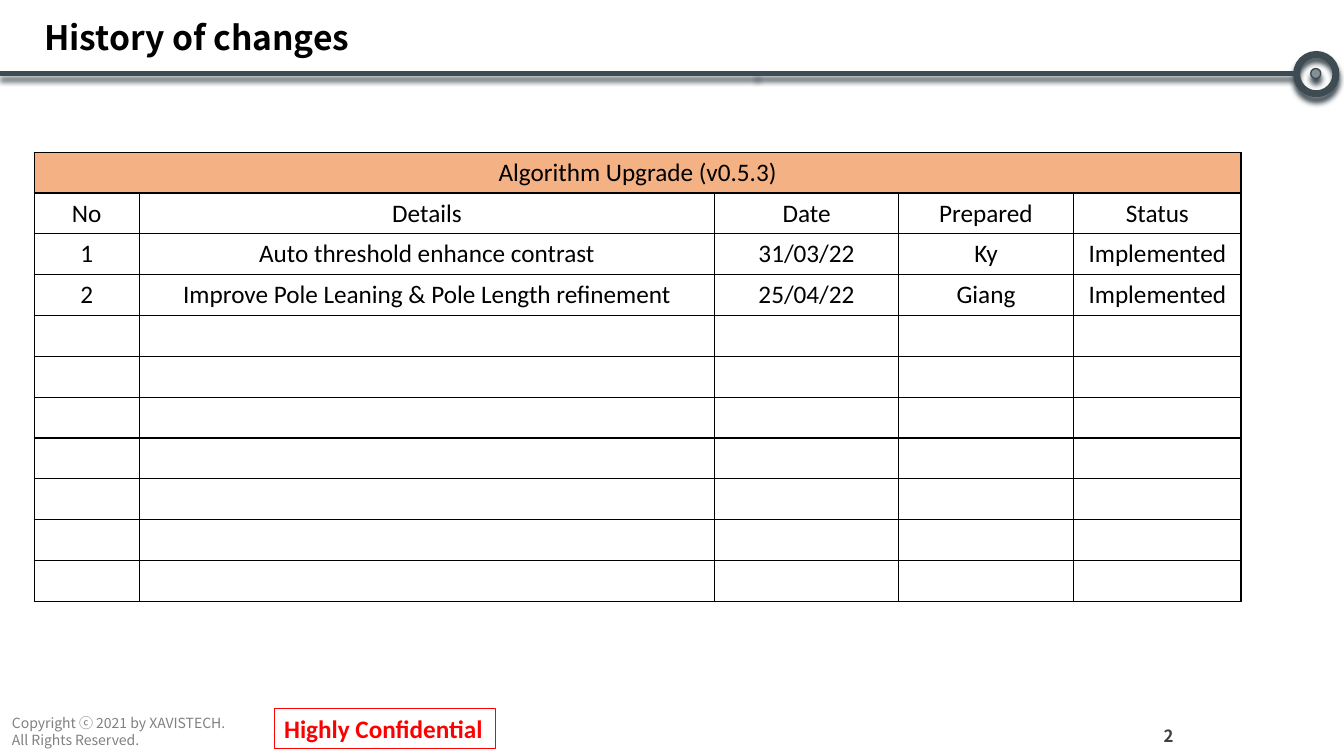
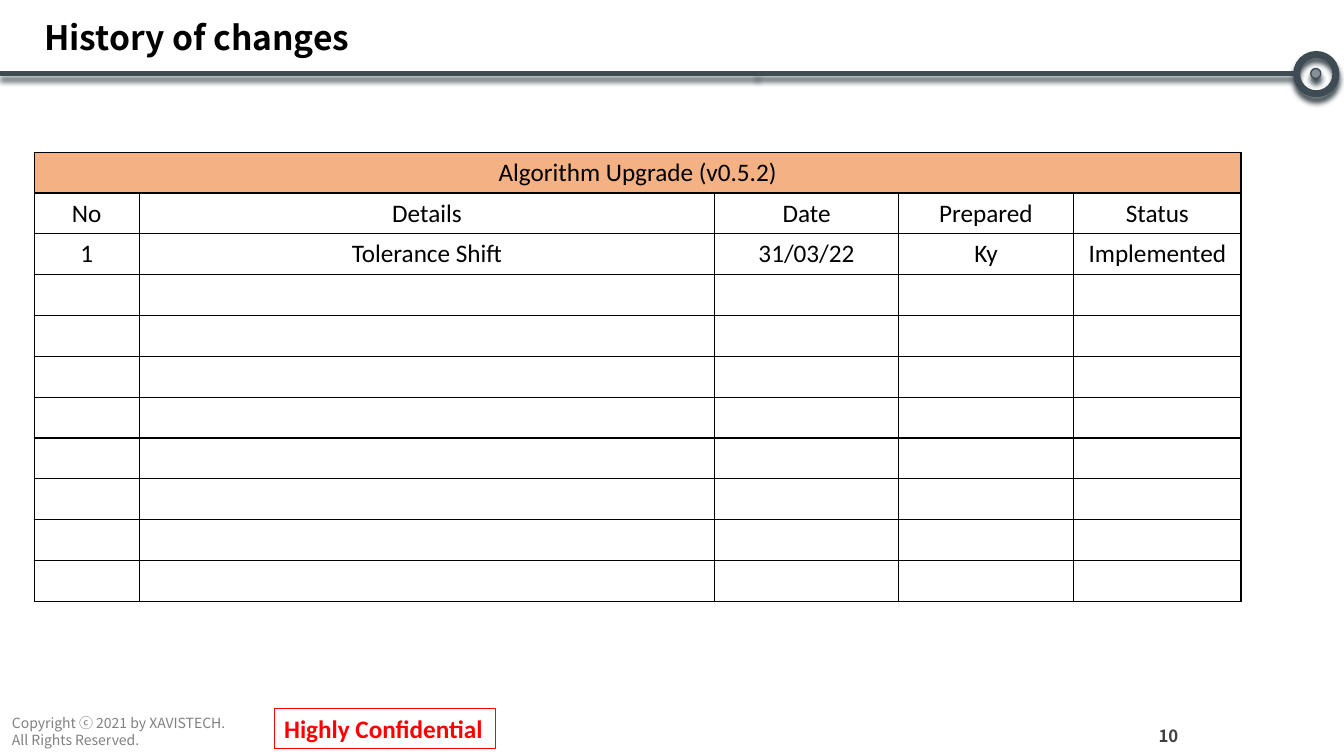
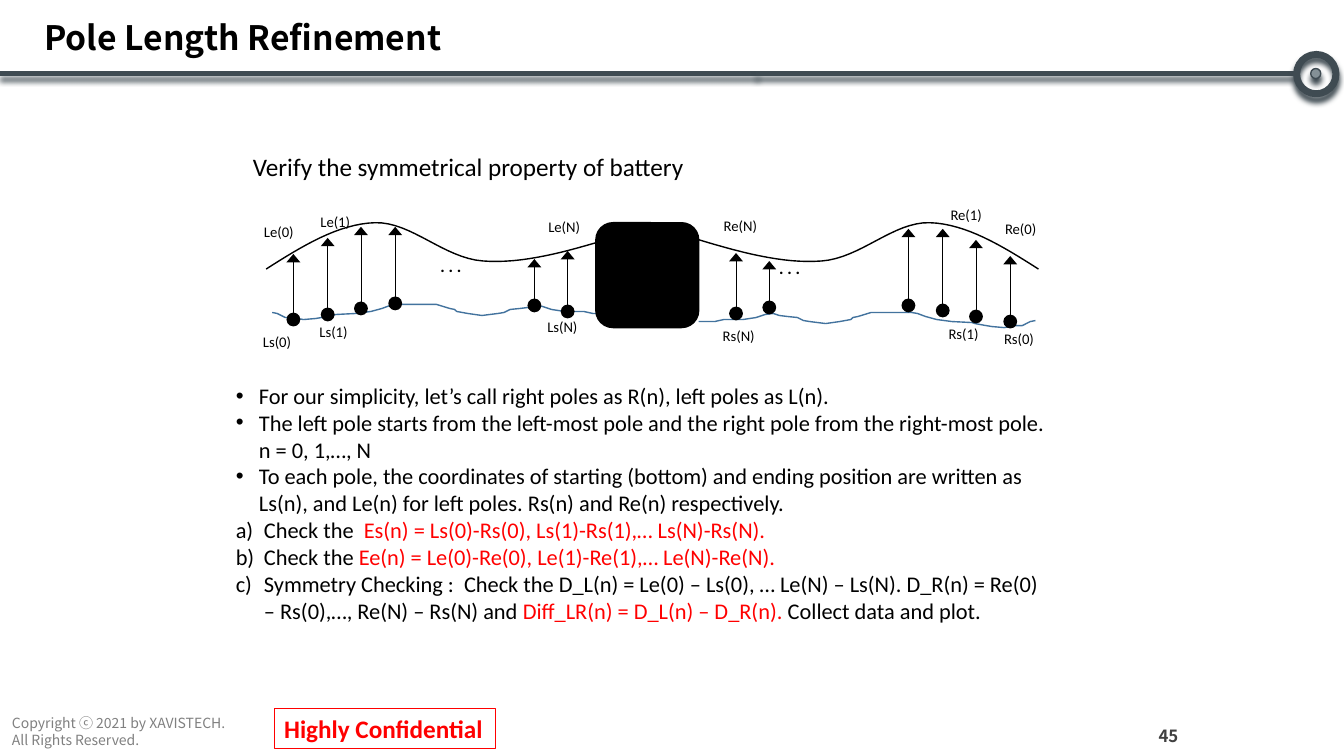
"""Build three slides on the history of changes and pole length refinement."""
from lxml.etree import SubElement
from pptx import Presentation
from pptx.dml.color import RGBColor
from pptx.enum.shapes import MSO_CONNECTOR as Link, MSO_SHAPE as Kind
from pptx.enum.text import MSO_ANCHOR as Anchor, PP_ALIGN as Align
from pptx.oxml.ns import qn
from pptx.util import Inches, Pt

BLACK, RED, STEEL, BLUE = "000000", "FF0000", "3F4B52", "43739E"
SANS, KOREAN = "Calibri", "Noto Sans CJK KR"
STYLES = {
    "title": ({"name": KOREAN, "size": Pt(24), "bold": True}, BLACK),
    "legal": ({"name": KOREAN, "size": Pt(10)}, "808080"),
    "page": ({"name": KOREAN, "size": Pt(12), "bold": True}, "404040"),
    "stamp": ({"name": SANS, "size": Pt(18), "bold": True}, RED),
    "lead": ({"name": SANS, "size": Pt(18)}, BLACK),
    "body": ({"name": SANS, "size": Pt(16)}, BLACK),
    "alert": ({"name": SANS, "size": Pt(16)}, RED),
    "label": ({"name": SANS, "size": Pt(10.5)}, BLACK),
    "dots": ({"name": SANS, "size": Pt(12), "bold": True}, BLACK),
}
LEGAL = ["Copyright ⓒ 2021 by XAVISTECH.", "All Rights Reserved."]
HEADS = ("No", "Details", "Date", "Prepared", "Status")
WIDTHS = (1.04, 5.71, 1.82, 1.74, 1.66)
ROWS = 11
LOGS = [
    (2, "Algorithm Upgrade (v0.5.3)", [
        ("1", "Auto threshold enhance contrast", "31/03/22", "Ky", "Implemented"),
        ("2", "Improve Pole Leaning & Pole Length refinement", "25/04/22",
         "Giang", "Implemented")]),
    (10, "Algorithm Upgrade (v0.5.2)", [
        ("1", "Tolerance Shift", "31/03/22", "Ky", "Implemented")]),
]
POLES = [(2.91, 3.17, 2.52), (3.25, 3.12, 2.36), (3.58, 3.06, 2.25),
         (3.92, 3.01, 2.25), (5.3, 3.03, 2.57), (5.63, 3.09, 2.49)]
ARCH = [(2.64, 2.67), (3, 2.44), (3.36, 2.22), (3.72, 2.21), (4.08, 2.2),
        (4.4, 2.56), (4.79, 2.59), (5.18, 2.62), (5.61, 2.5), (6.04, 2.37)]
GROUND = [(2.7, 3.1), (2.75, 3.11), (2.83, 3.15), (2.9, 3.15), (3.01, 3.17),
          (3.13, 3.16), (3.19, 3.15), (3.3, 3.13), (3.33, 3.12), (3.53, 3.11),
          (3.68, 3.09), (3.79, 3.06), (3.87, 3.03), (3.93, 3.02), (4.33, 3.02),
          (4.46, 3.06), (4.51, 3.07), (4.53, 3.09), (4.64, 3.11), (4.78, 3.13),
          (4.94, 3.11), (5, 3.1), (5.06, 3.07), (5.16, 3.06), (5.24, 3.05),
          (5.3, 3.03), (5.38, 3.04), (5.47, 3.07), (5.6, 3.09), (5.79, 3.09),
          (5.88, 3.11), (6.04, 3.11)]
LABELS = [("Ls(0)", 2.51, 3.25), ("Le(0)", 2.52, 2.16), ("Rs(0)", 9.86, 3.22),
          ("Re(0)", 9.87, 2.13), ("Ls(1)", 3.07, 3.15), ("Le(1)", 3.08, 2.06),
          ("Rs(1)", 9.31, 3.17), ("Re(1)", 9.33, 1.99), ("Rs(N)", 7.07, 3.19),
          ("Re(N)", 7.08, 2.1), ("Ls(N)", 5.33, 3.1), ("Le(N)", 5.34, 2.11)]
DOT, LETTER = ("buChar", {"char": "•"}), ("buAutoNum", {"type": "alphaLcParenR"})
NOTES = [
    (DOT, 0.23, [("For our simplicity, let’s call right poles as R(n), left poles as L(n).", "body")]),
    (DOT, 0.23, [("The left pole starts from the left-most pole and the right pole "
                  "from the right-most pole. n = 0, 1,…, N", "body")]),
    (DOT, 0.23, [("To each pole, the coordinates of starting (bottom) and ending position are "
                  "written as Ls(n), and Le(n) for left poles. Rs(n) and Re(n) respectively.", "body")]),
    (LETTER, 0.28, [("Check the  ", "body"),
                    ("Es(n) = Ls(0)-Rs(0), Ls(1)-Rs(1),… Ls(N)-Rs(N).", "alert")]),
    (LETTER, 0.28, [("Check the ", "body"),
                    ("Ee(n) = Le(0)-Re(0), Le(1)-Re(1),… Le(N)-Re(N).", "alert")]),
    (LETTER, 0.28, [("Symmetry Checking :  Check the D_L(n) = Le(0) – Ls(0), … Le(N) – Ls(N). "
                     "D_R(n) = Re(0) – Rs(0),…, Re(N) – Rs(N) and ", "body"),
                    ("Diff_LR(n) = D_L(n) – D_R(n). ", "alert"),
                    ("Collect data and plot.", "body")]),
]


def rgb(code):
    """Turn a hex string into a colour."""
    return RGBColor.from_string(code)


def add(root, tag, **attrs):
    """Append a drawing element."""
    return SubElement(root, qn("a:" + tag), attrs)


def write(para, text, style):
    """Add a run in a named style."""
    run = para.add_run()
    run.text = text
    form, hue = STYLES[style]
    for key, val in form.items():
        setattr(run.font, key, val)
    run.font.color.rgb = rgb(hue)


def fill_text(frame, lines, style, align=Align.LEFT, anchor=Anchor.TOP):
    """Write lines as paragraphs and return the last one."""
    frame.word_wrap = True
    frame.vertical_anchor = anchor
    for num, line in enumerate(lines):
        para = frame.add_paragraph() if num else frame.paragraphs[0]
        para.alignment = align
        write(para, line, style)
    return para


def text_box(slide, area, lines, style, **opts):
    """Place a text box."""
    box = slide.shapes.add_textbox(*map(Inches, area))
    return fill_text(box.text_frame, lines, style, **opts)


def ink(shape, hue, width, fill=None, shade=False):
    """Set line, fill and shadow."""
    shape.line.color.rgb = rgb(hue)
    shape.line.width = Pt(width)
    if fill:
        shape.fill.solid()
        shape.fill.fore_color.rgb = rgb(fill)
    elif hasattr(shape, "fill"):
        shape.fill.background()
    glow = add(shape._element.spPr, "effectLst")
    if shade:
        cast = add(glow, "outerShdw", blurRad=str(Pt(4)), dist=str(Pt(4)),
                   dir="5400000", algn="t", rotWithShape="0")
        add(cast, "srgbClr", val=STEEL)


def draw(slide, kind, area, *look, **opts):
    """Place a preset shape."""
    shape = slide.shapes.add_shape(kind, *map(Inches, area))
    ink(shape, *look, **opts)
    return shape


def line(slide, ends, *look, **opts):
    """Place a straight connector."""
    link = slide.shapes.add_connector(Link.STRAIGHT, *map(Inches, ends))
    ink(link, *look, **opts)
    return link


def base(deck, title, page):
    """Add a slide with the shared band, title and footer."""
    slide = deck.slides.add_slide(deck.slide_layouts[6])
    text_box(slide, (0.02, 7.04, 2.66, 0.44), LEGAL, "legal")
    for left, right in ((0, 7.52), (7.5, 12.86)):
        line(slide, (left, 0.73, right, 0.73), STEEL, 3, shade=True)
    draw(slide, Kind.OVAL, (13, 0.68, 0.1, 0.1), STEEL, 1, fill="849096", shade=True)
    draw(slide, Kind.OVAL, (12.86, 0.54, 0.39, 0.39), STEEL, 5, shade=True)
    stamp = draw(slide, Kind.RECTANGLE, (2.72, 7.03, 2.19, 0.4), RED, 0.75)
    fill_text(stamp.text_frame, ["Highly Confidential"], "stamp")
    head = text_box(slide, (0.34, 0.11, 12.65, 0.57), [title], "title", anchor=Anchor.MIDDLE)
    head.line_spacing = 0.9
    text_box(slide, (11.32, 7.16, 0.54, 0.28), [str(page)], "page",
             align=Align.CENTER, anchor=Anchor.MIDDLE)
    return slide


def frame_cell(cell, fill):
    """Set the borders and fill of a cell."""
    props = cell._tc.get_or_add_tcPr()
    for side in "LRTB":
        edge = add(props, "ln" + side, w=str(Pt(1)))
        add(add(edge, "solidFill"), "srgbClr", val=BLACK)
    if fill:
        cell.fill.solid()
        cell.fill.fore_color.rgb = rgb(fill)
    else:
        cell.fill.background()


def log_table(slide, name, items):
    """Place a table of changes."""
    area = map(Inches, (0.34, 1.51, sum(WIDTHS), 4.46))
    table = slide.shapes.add_table(ROWS, len(WIDTHS), *area).table
    table.first_row = table.horz_banding = False
    for col, width in zip(table.columns, WIDTHS):
        col.width = Inches(width)
    for num in range(ROWS):
        for cell in table.rows[num].cells:
            frame_cell(cell, None if num else "F4B183")
    table.cell(0, 0).merge(table.cell(0, len(WIDTHS) - 1))
    for row, texts in enumerate([(name,), HEADS, *items]):
        for col, text in enumerate(texts):
            fill_text(table.cell(row, col).text_frame, [text], "lead", align=Align.CENTER)


def mirror(points, total, drop=0):
    """Reflect points left to right and shift them down."""
    return [(total - x, y + drop) for x, y in points]


def smooth(knots, steps=16):
    """Sample a chain of cubic curves."""
    path = [knots[0]]
    for num in range(0, len(knots) - 1, 3):
        for step in range(1, steps + 1):
            t = step / steps
            parts = ((1 - t) ** 3, 3 * t * (1 - t) ** 2, 3 * t * t * (1 - t), t ** 3)
            path.append(tuple(sum(w * p[axis] for w, p in zip(parts, knots[num:num + 4]))
                              for axis in (0, 1)))
    return path


def trace(slide, points, hue):
    """Draw an open outline."""
    spots = [(Inches(x), Inches(y)) for x, y in points]
    pen = slide.shapes.build_freeform(*spots[0])
    pen.add_line_segments(spots[1:], close=False)
    ink(pen.convert_to_shape(), hue, 1)


def pole(slide, x, low, high):
    """Draw a pole from its start dot to its end arrow."""
    link = line(slide, (x, low, x, high), BLACK, 0.5)
    edge = link.line._get_or_add_ln()
    add(edge, "headEnd", type="oval", w="lg", len="lg")
    add(edge, "tailEnd", type="triangle", w="lg", len="med")


def battery(slide):
    """Draw the battery with its poles and labels."""
    arch = smooth(ARCH)
    for path, hue in ((arch, BLACK), (mirror(arch, 12.94), BLACK),
                      (GROUND, BLUE), (mirror(GROUND, 12.97, 0.08), BLUE)):
        trace(slide, path, hue)
    draw(slide, Kind.ROUNDED_RECTANGLE, (5.91, 2.21, 1.02, 1.04), BLACK, 1, fill=BLACK)
    for x, low, high in POLES:
        pole(slide, x, low, high)
        pole(slide, 12.93 - x, low + 0.02, high + 0.02)
    for x, y in ((4.27, 2.49), (7.63, 2.51)):
        text_box(slide, (x, y, 1.04, 0.3), [". . ."], "dots")
    for text, x, y in LABELS:
        text_box(slide, (x, y, 0.7, 0.29), [text], "label")


def notes(slide):
    """Write the bulleted and lettered steps."""
    frame = slide.shapes.add_textbox(*map(Inches, (2.24, 3.74, 8.23, 3.1))).text_frame
    frame.word_wrap = True
    for num, ((tag, attrs), inset, runs) in enumerate(NOTES):
        para = frame.add_paragraph() if num else frame.paragraphs[0]
        props = para._p.get_or_add_pPr()
        props.set("marL", str(Inches(inset)))
        props.set("indent", str(-Inches(inset)))
        add(props, "buFont", typeface="Arial" if tag == "buChar" else SANS)
        add(props, tag, **attrs)
        for text, style in runs:
            write(para, text, style)


def main():
    """Build and save the deck."""
    deck = Presentation()
    deck.slide_width, deck.slide_height = Inches(13.33), Inches(7.5)
    for page, name, items in LOGS:
        log_table(base(deck, "History of changes", page), name, items)
    slide = base(deck, "Pole Length Refinement", 45)
    battery(slide)
    notes(slide)
    text_box(slide, (2.41, 1.45, 6.72, 0.4), ["Verify the symmetrical property of battery"], "lead")
    deck.save("out.pptx")


if __name__ == "__main__":
    main()
